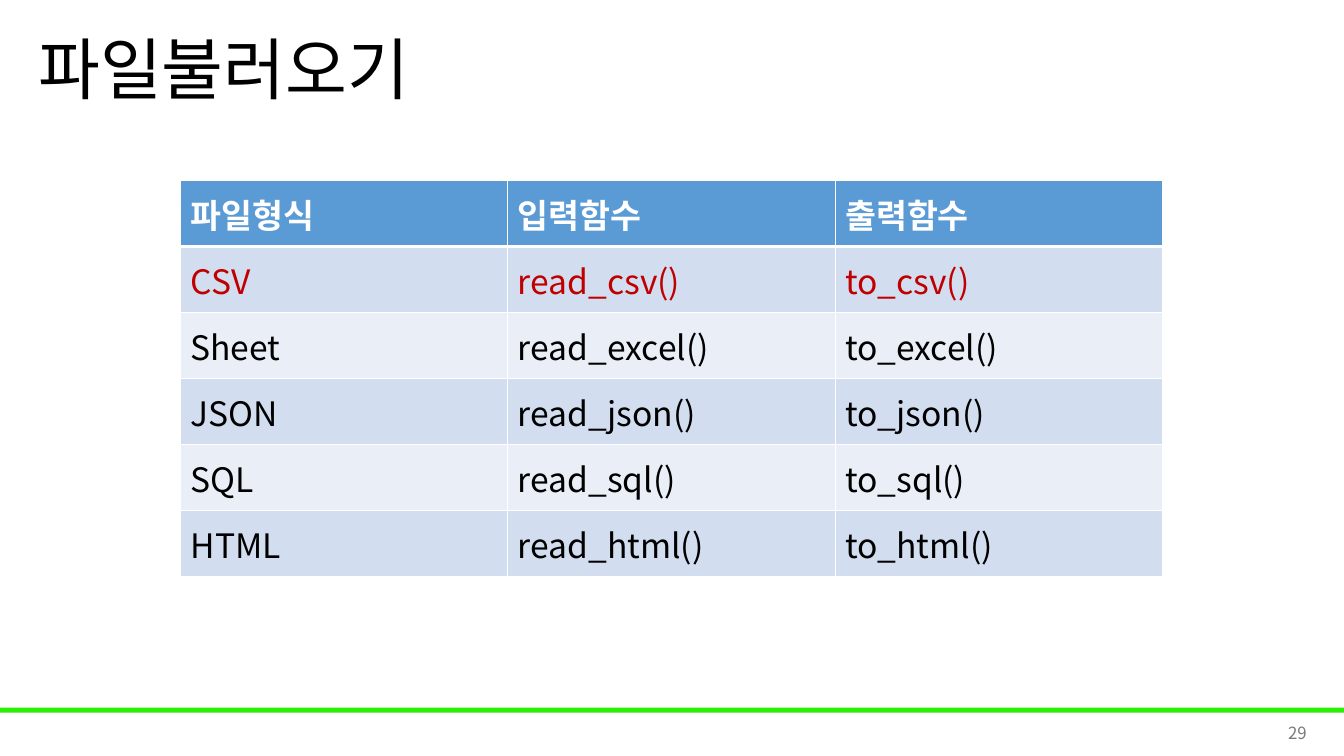
from dataclasses import dataclass

from pptx import Presentation
from pptx.dml.color import RGBColor
from pptx.enum import shapes, text
from pptx.oxml import parse_xml
from pptx.oxml import ns
from pptx.util import Inches, Pt


@dataclass(frozen=True)
class Theme:
    font: str = "Noto Sans CJK KR"
    title_size: int = 48
    table_size: int = 24
    number_size: int = 12
    black: str = "000000"
    white: str = "FFFFFF"
    red: str = "C00000"
    gray: str = "797979"
    green: str = "2AEF06"
    header: str = "5B9BD5"
    bands: tuple = ("D2DEEF", "EAEFF7")


THEME = Theme()


def write(frame, words, size, color, bold=False, align=text.PP_ALIGN.LEFT):
    """Fill a text frame with one styled, vertically centred paragraph."""
    frame.text = words
    frame.vertical_anchor = text.MSO_ANCHOR.MIDDLE
    paragraph = frame.paragraphs[0]
    paragraph.alignment = align
    font = paragraph.font
    font.name, font.size, font.bold = THEME.font, Pt(size), bold
    font.color.rgb = RGBColor.from_string(color)
    # Korean glyphs take the East Asian typeface
    paragraph._p.pPr.find(ns.qn("a:defRPr")).append(
        parse_xml(f'<a:ea {ns.nsdecls("a")} typeface="{THEME.font}"/>'))
    return paragraph


def set_borders(cell, bottom_width):
    """Draw white cell borders, placed ahead of the cell fill."""
    widths = {"lnL": 1, "lnR": 1, "lnT": 1, "lnB": bottom_width}
    for position, (side, width) in enumerate(widths.items()):
        cell._tc.get_or_add_tcPr().insert(position, parse_xml(
            f'<a:{side} {ns.nsdecls("a")} w="{Pt(width)}"><a:solidFill>'
            f'<a:srgbClr val="{THEME.white}"/></a:solidFill></a:{side}>'))


presentation = Presentation()
presentation.slide_width = Inches(13.33)
presentation.slide_height = Inches(7.5)
slide = presentation.slides.add_slide(presentation.slide_layouts[5])

# Footer bar
bar = slide.shapes.add_shape(shapes.MSO_SHAPE.RECTANGLE, Inches(0), Inches(7.02),
                             Inches(13.33), Inches(0.05))
bar.shadow.inherit = False
bar.fill.solid()
bar.fill.fore_color.rgb = RGBColor.from_string(THEME.green)
bar.line.fill.background()

# Title
title = slide.shapes.title
title.left, title.top = Inches(0.28), Inches(0)
title.width, title.height = Inches(11.5), Inches(1.45)
heading = write(title.text_frame, "파일불러오기", THEME.title_size, THEME.black)
heading.line_spacing = 0.9

# Table of file formats with their reading and writing functions
formats = {"CSV": "csv", "Sheet": "excel", "JSON": "json", "SQL": "sql", "HTML": "html"}
rows = [("파일형식", "입력함수", "출력함수")]
rows += [(label, f"read_{suffix}()", f"to_{suffix}()") for label, suffix in formats.items()]
table = slide.shapes.add_table(len(rows), 3, Inches(1.79), Inches(1.79),
                               Inches(9.74), Inches(3.93)).table
for row_index, row in enumerate(rows):
    is_header = row_index == 0
    fill = THEME.header if is_header else THEME.bands[(row_index - 1) % 2]
    color = {0: THEME.white, 1: THEME.red}.get(row_index, THEME.black)
    for column_index, words in enumerate(row):
        cell = table.cell(row_index, column_index)
        write(cell.text_frame, words, THEME.table_size, color, bold=is_header)
        cell.vertical_anchor = text.MSO_ANCHOR.MIDDLE
        cell.fill.solid()
        cell.fill.fore_color.rgb = RGBColor.from_string(fill)
        set_borders(cell, 3 if is_header else 1)

# Slide number
number = slide.shapes.add_textbox(Inches(10.06), Inches(7.07), Inches(3), Inches(0.4))
number.text_frame.word_wrap = True
write(number.text_frame, "29", THEME.number_size, THEME.gray, align=text.PP_ALIGN.RIGHT)

presentation.save("out.pptx")
